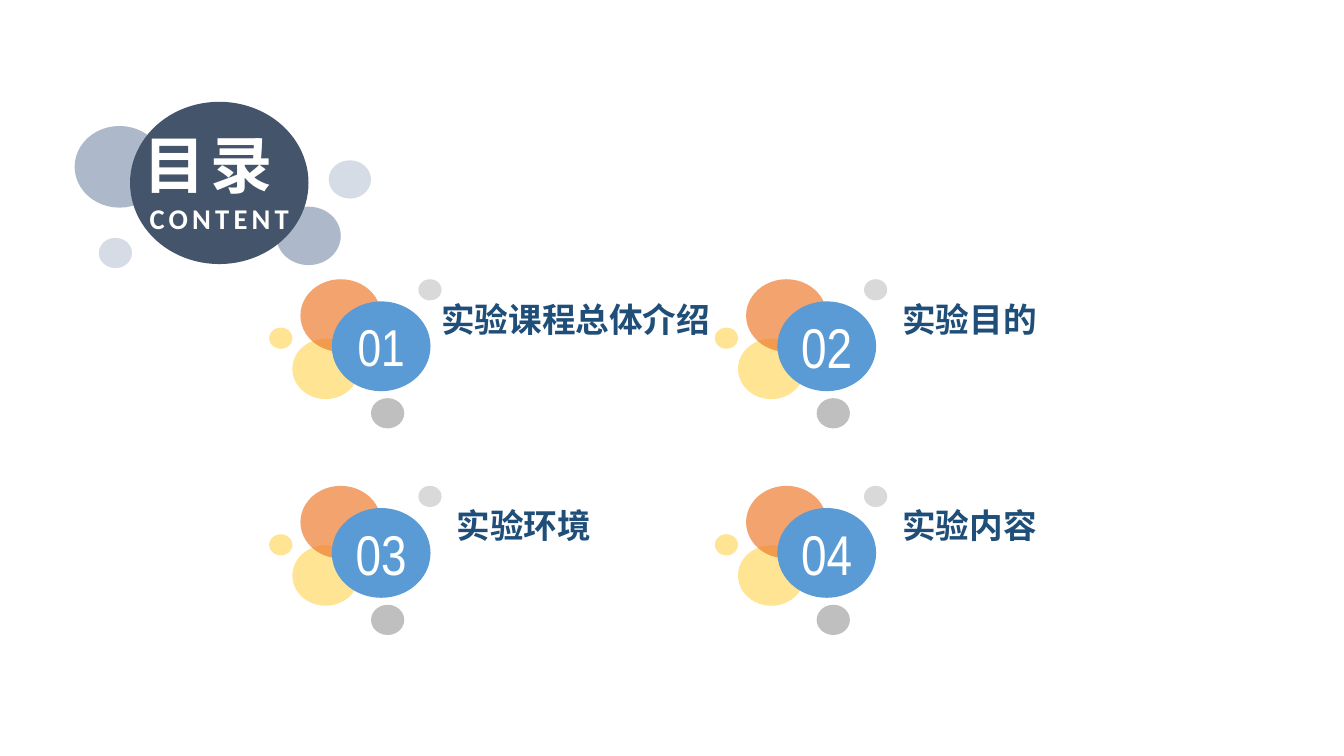
from pptx import Presentation
from pptx.dml.color import RGBColor
from pptx.enum.shapes import MSO_SHAPE
from pptx.enum.text import MSO_ANCHOR, MSO_AUTO_SIZE, PP_ALIGN
from pptx.oxml.ns import qn
from pptx.util import Inches, Pt
from lxml import etree

OVAL = MSO_SHAPE.OVAL
LEFT, CENTER = PP_ALIGN.LEFT, PP_ALIGN.CENTER
MIDDLE, BOTTOM = MSO_ANCHOR.MIDDLE, MSO_ANCHOR.BOTTOM
NO_FIT = MSO_AUTO_SIZE.NONE

COLORS = {
    "navy": "44546A", "slate": "ADB9CA", "mist": "D6DCE5",
    "blue": "5B9BD5", "orange": "ED7D31", "yellow": "FFD966",
    "gray": "A5A5A5", "silver": "C9C9C9", "ink": "1F4E79", "white": "FFFFFF",
}

# Left, top, width, height and colour
TITLE_DOTS = [
    (0.98, 2.36, 0.33, 0.3, "mist"),
    (2.74, 2.05, 0.64, 0.58, "slate"),
    (0.74, 1.25, 0.89, 0.81, "slate"),
    (1.29, 1.01, 1.77, 1.61, "navy"),
    (3.26, 1.59, 0.42, 0.38, "mist"),
]
# The same, measured from the corner of an item
ITEM_DOTS = [
    (0.23, 0.59, 0.66, 0.6, "yellow"),
    (0.31, 0, 0.8, 0.72, "orange"),
    (1.01, 1.18, 0.33, 0.3, "gray"),
    (0, 0.48, 0.23, 0.21, "yellow"),
    (1.48, 0, 0.23, 0.21, "silver"),
]
# Label, its alignment and the size of its number
ITEMS = [
    ("实验课程总体介绍", CENTER, 37),
    ("实验目的", LEFT, 40),
    ("实验环境", LEFT, 40),
    ("实验内容", LEFT, 40),
]


def add_dot(slide, x, y, w, h, color, alpha=100):
    dot = slide.shapes.add_shape(OVAL, Inches(x), Inches(y), Inches(w), Inches(h))
    dot.shadow.inherit = False
    dot.line.fill.background()
    dot.fill.solid()
    dot.fill.fore_color.rgb = RGBColor.from_string(COLORS[color])
    if alpha < 100:
        tint = dot.fill._xPr.find(".//" + qn("a:srgbClr"))
        etree.SubElement(tint, qn("a:alpha"), val=str(alpha * 1000))
    return dot


def set_frame(shape, anchor, left=0):
    """Clear the insets but the left one, and turn wrapping off."""
    frame = shape.text_frame
    frame.auto_size = NO_FIT
    frame.word_wrap = False
    frame.vertical_anchor = anchor
    frame.margin_left = Inches(left)
    frame.margin_top = frame.margin_right = frame.margin_bottom = 0
    return frame.paragraphs[0]


def add_text(para, text, size, font, color="white", bold=False, align=CENTER, gap=0):
    para.alignment = align
    run = para.add_run()
    run.text = text
    run.font.size = Pt(size)
    run.font.name = font
    run.font.bold = bold
    run.font.color.rgb = RGBColor.from_string(COLORS[color])
    props = run.font._element
    etree.SubElement(props, qn("a:ea"), typeface="Noto Sans CJK SC")
    if gap:
        props.set("spc", str(gap * 100))


def add_title(slide):
    for dot in TITLE_DOTS:
        add_dot(slide, *dot)
    title = slide.shapes.title
    title.left, title.top = Inches(1.29), Inches(1.25)
    title.width, title.height = Inches(1.77), Inches(1.08)
    # Bring the title in front of the dots
    slide.shapes._spTree.append(title._element)
    para = set_frame(title, BOTTOM)
    add_text(para, "目录 ", 44.4, "Calibri", bold=True, gap=3)
    para.add_line_break()
    add_text(para, "CONTENT", 20.4, "Calibri", bold=True, gap=3)


def add_item(slide, x, y, number, label, align, size):
    for dx, dy, w, h, color in ITEM_DOTS:
        add_dot(slide, x + dx, y + dy, w, h, color, alpha=70)
    disc = add_dot(slide, x + 0.62, y + 0.22, 0.98, 0.89, "blue")
    add_text(set_frame(disc, MIDDLE), f"{number:02d}", size, "Arial Narrow")
    box = slide.shapes.add_textbox(
        Inches(x + 1.47), Inches(y), Inches(2.75), Inches(0.59))
    add_text(set_frame(box, BOTTOM, left=0.39), label, 24, "Noto Sans CJK SC",
             color="ink", bold=True, align=align)


def main():
    deck = Presentation()
    deck.slide_width, deck.slide_height = Inches(13.33), Inches(7.5)
    slide = deck.slides.add_slide(deck.slide_layouts[5])
    add_title(slide)
    for i, item in enumerate(ITEMS):
        row, col = divmod(i, 2)
        add_item(slide, 2.67 + 4.42 * col, 2.77 + 2.05 * row, i + 1, *item)
    deck.save("out.pptx")


if __name__ == "__main__":
    main()
